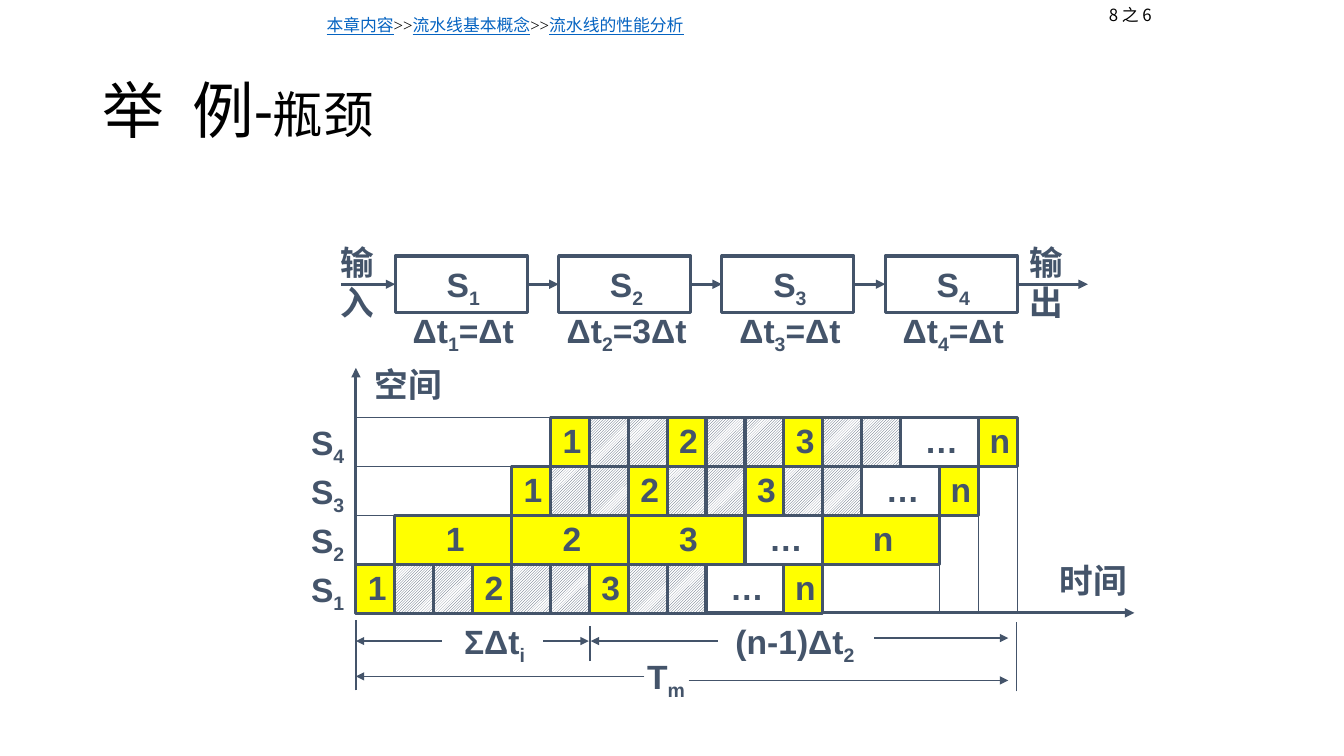
from lxml import etree
from pptx import Presentation
from pptx.dml.color import RGBColor
from pptx.enum.dml import MSO_PATTERN
from pptx.enum.shapes import MSO_CONNECTOR, MSO_SHAPE
from pptx.enum.text import MSO_ANCHOR, MSO_AUTO_SIZE, PP_ALIGN
from pptx.oxml.ns import qn
from pptx.util import Inches, Pt

COLORS = {"slate": "44546A", "busy": "FFFF00", "white": "FFFFFF",
          "black": "000000", "link": "0563C1"}
CJK_FONT = "Noto Sans CJK SC"

STAGE_LEFT, STAGE_TOP, STAGE_PITCH = 3.92, 2.54, 1.62
STAGE_WIDTH, STAGE_HEIGHT = 1.31, 0.56
FLOW_Y = STAGE_TOP + STAGE_HEIGHT / 2
STAGE_TIMES = ["=Δt", "=3Δt", "=Δt", "=Δt"]

AXIS_X, AXIS_Y = 3.53, 6.08
UNIT = (10.09 - AXIS_X) / 17
ROW_TOP, ROW_HEIGHT = 5.6, 0.49
ROW_PITCH = (5.6 - 4.14) / 3
SHORT_TASKS = [("1", 1), ("", 1), ("", 1), ("2", 1), ("", 1), ("", 1),
               ("3", 1), ("", 1), ("", 1), ("…", 2), ("n", 1)]
LONG_TASKS = [("1", 3), ("2", 3), ("3", 3), ("…", 2), ("n", 3)]
ROWS = [(0, SHORT_TASKS), (1, LONG_TASKS), (4, SHORT_TASKS), (5, SHORT_TASKS)]


def rgb(name):
    return RGBColor.from_string(COLORS[name])


def add_run(paragraph, text, size, font, color, bold=False, underline=False):
    run = paragraph.add_run()
    run.text = text
    run.font.size = Pt(size)
    run.font.name = font
    run.font.bold = bold
    run.font.underline = underline
    run.font.color.rgb = rgb(color)
    properties = run._r.get_or_add_rPr()
    etree.SubElement(properties, qn("a:ea"), typeface=CJK_FONT)
    return properties


def write_label(shape, lines, line_spacing=0.8):
    frame = shape.text_frame
    frame.word_wrap = False
    frame.auto_size = MSO_AUTO_SIZE.NONE
    frame.vertical_anchor = MSO_ANCHOR.MIDDLE
    frame.margin_left = Inches(0.08)
    frame.margin_top = frame.margin_right = Inches(0.04)
    frame.margin_bottom = Inches(0)
    for index, parts in enumerate(lines):
        paragraph = frame.add_paragraph() if index else frame.paragraphs[0]
        paragraph.alignment = PP_ALIGN.CENTER
        paragraph.line_spacing = line_spacing
        for position, text in enumerate(parts):
            properties = add_run(paragraph, text, 24, "Arial", "slate", bold=True)
            if position % 2:
                properties.set("baseline", "-25000")


def add_label(slide, left, top, width, height, *lines, line_spacing=0.8):
    box = slide.shapes.add_textbox(
        Inches(left), Inches(top), Inches(width), Inches(height))
    write_label(box, lines, line_spacing)


def add_box(slide, left, top, width, height):
    box = slide.shapes.add_shape(
        MSO_SHAPE.RECTANGLE, Inches(left), Inches(top), Inches(width), Inches(height))
    box.shadow.inherit = False
    box.fill.background()
    box.line.color.rgb = rgb("slate")
    box.line.width = Pt(2.25)
    return box


def add_line(slide, start, end, width=1, arrow=False):
    line = slide.shapes.add_connector(
        MSO_CONNECTOR.STRAIGHT, *[Inches(value) for value in (*start, *end)])
    line.line.color.rgb = rgb("slate")
    line.line.width = Pt(width)
    if arrow:
        etree.SubElement(line.line._get_or_add_ln(), qn("a:tailEnd"), type="triangle")
    etree.SubElement(line._element.spPr, qn("a:effectLst"))
    return line


def add_title(slide):
    title = slide.shapes.title
    title.left, title.top = Inches(0.92), Inches(0.4)
    title.width, title.height = Inches(11.5), Inches(1.45)
    frame = title.text_frame
    frame.auto_size = MSO_AUTO_SIZE.NONE
    frame.vertical_anchor = MSO_ANCHOR.MIDDLE
    paragraph = frame.paragraphs[0]
    paragraph.alignment = PP_ALIGN.LEFT
    paragraph.line_spacing = 0.9
    add_run(paragraph, "举", 44, "Calibri", "black")
    add_run(paragraph, " ", 44, "Calibri", "black").set("spc", "1000")
    add_run(paragraph, "例-", 44, "Calibri", "black")
    add_run(paragraph, "瓶颈", 36, "Calibri", "black")


def add_header(slide):
    trail = slide.shapes.add_textbox(Inches(3.14), Inches(0.1), Inches(8.28), Inches(0.3))
    trail.text_frame.word_wrap = True
    paragraph = trail.text_frame.paragraphs[0]
    for index, topic in enumerate(["本章内容", "流水线基本概念", "流水线的性能分析"]):
        if index:
            add_run(paragraph, ">>", 12, "Times New Roman", "black")
        add_run(paragraph, topic, 12, "Times New Roman", "link", underline=True)
    page = slide.shapes.add_textbox(Inches(10.75), Inches(0), Inches(0.92), Inches(0.3))
    page.text_frame.word_wrap = True
    paragraph = page.text_frame.paragraphs[0]
    paragraph.alignment = PP_ALIGN.CENTER
    add_run(paragraph, "8 之 6", 12, CJK_FONT, "black")


def add_pipeline(slide):
    stages = []
    for index, time in enumerate(STAGE_TIMES):
        left = STAGE_LEFT + index * STAGE_PITCH
        number = str(index + 1)
        stage = add_box(slide, left, STAGE_TOP, STAGE_WIDTH, STAGE_HEIGHT)
        write_label(stage, [["S", number]])
        add_label(slide, left, 3.03, STAGE_WIDTH, 0.49, ["Δt", number, time])
        start = left - STAGE_PITCH + STAGE_WIDTH if stages else 3.38
        arrow = add_line(slide, (start, FLOW_Y), (left, FLOW_Y), 2.25, True)
        if stages:
            arrow.begin_connect(stages[-1], 3)
        arrow.end_connect(stage, 1)
        stages.append(stage)
    output = add_line(slide, (10.09, FLOW_Y), (10.79, FLOW_Y), 2.25, True)
    output.begin_connect(stages[-1], 3)
    for left, direction in [(3.25, "入"), (10.09, "出")]:
        add_label(slide, left, 2.33, 0.54, 0.9, ["输"], [direction], line_spacing=1.0)


def add_task(slide, left, top, width, text):
    cell = add_box(slide, left, top, width, ROW_HEIGHT)
    if not text:
        cell.fill.patterned()
        cell.fill.pattern = MSO_PATTERN.LIGHT_UPWARD_DIAGONAL
        cell.fill.fore_color.rgb = rgb("slate")
        cell.fill.back_color.rgb = rgb("white")
        return
    if text != "…":
        cell.fill.solid()
        cell.fill.fore_color.rgb = rgb("busy")
    write_label(cell, [[text]])


def add_space_time_chart(slide):
    add_line(slide, (AXIS_X, AXIS_Y), (AXIS_X, 3.65), 2.25, True)
    add_line(slide, (AXIS_X, AXIS_Y), (11.25, AXIS_Y), 2.25, True)
    add_label(slide, AXIS_X, 3.58, 1, 0.49, ["空间"])
    add_label(slide, 10.4, 5.53, 0.85, 0.49, ["时间"])
    for index, (start, tasks) in enumerate(ROWS):
        top = ROW_TOP - index * ROW_PITCH
        add_label(slide, 2.92, top, 0.62, ROW_HEIGHT, ["S", str(index + 1)])
        left = AXIS_X + start * UNIT
        if index:
            add_line(slide, (left, top), (AXIS_X, top))
        for text, span in tasks:
            add_task(slide, left, top, span * UNIT, text)
            left += span * UNIT
        if index:
            add_line(slide, (left, AXIS_Y), (left, top + ROW_PITCH))


def add_dimensions(slide):
    for x, top, bottom in [(AXIS_X, 6.15, 6.85), (5.85, 6.21, 6.56), (10.08, 6.17, 6.86)]:
        add_line(slide, (x, bottom), (x, top))
    for start, end, y in [(4.38, AXIS_X, 6.36), (5.39, 5.84, 6.36), (7.12, 5.86, 6.36),
                          (8.67, 10, 6.33), (6.39, AXIS_X, 6.71), (6.83, 10, 6.75)]:
        add_line(slide, (start, y), (end, y), arrow=True)
    add_label(slide, 4.46, 6.15, 0.85, 0.42, ["ΣΔt", "i"])
    add_label(slide, 7.13, 6.15, 1.47, 0.42, ["(n-1)Δt", "2"])
    add_label(slide, 6.39, 6.5, 0.39, 0.42, ["T", "m"])


def main():
    presentation = Presentation()
    presentation.slide_width = Inches(13.33)
    presentation.slide_height = Inches(7.5)
    slide = presentation.slides.add_slide(presentation.slide_layouts[5])
    add_title(slide)
    add_header(slide)
    add_pipeline(slide)
    add_space_time_chart(slide)
    add_dimensions(slide)
    presentation.save("out.pptx")


if __name__ == "__main__":
    main()
